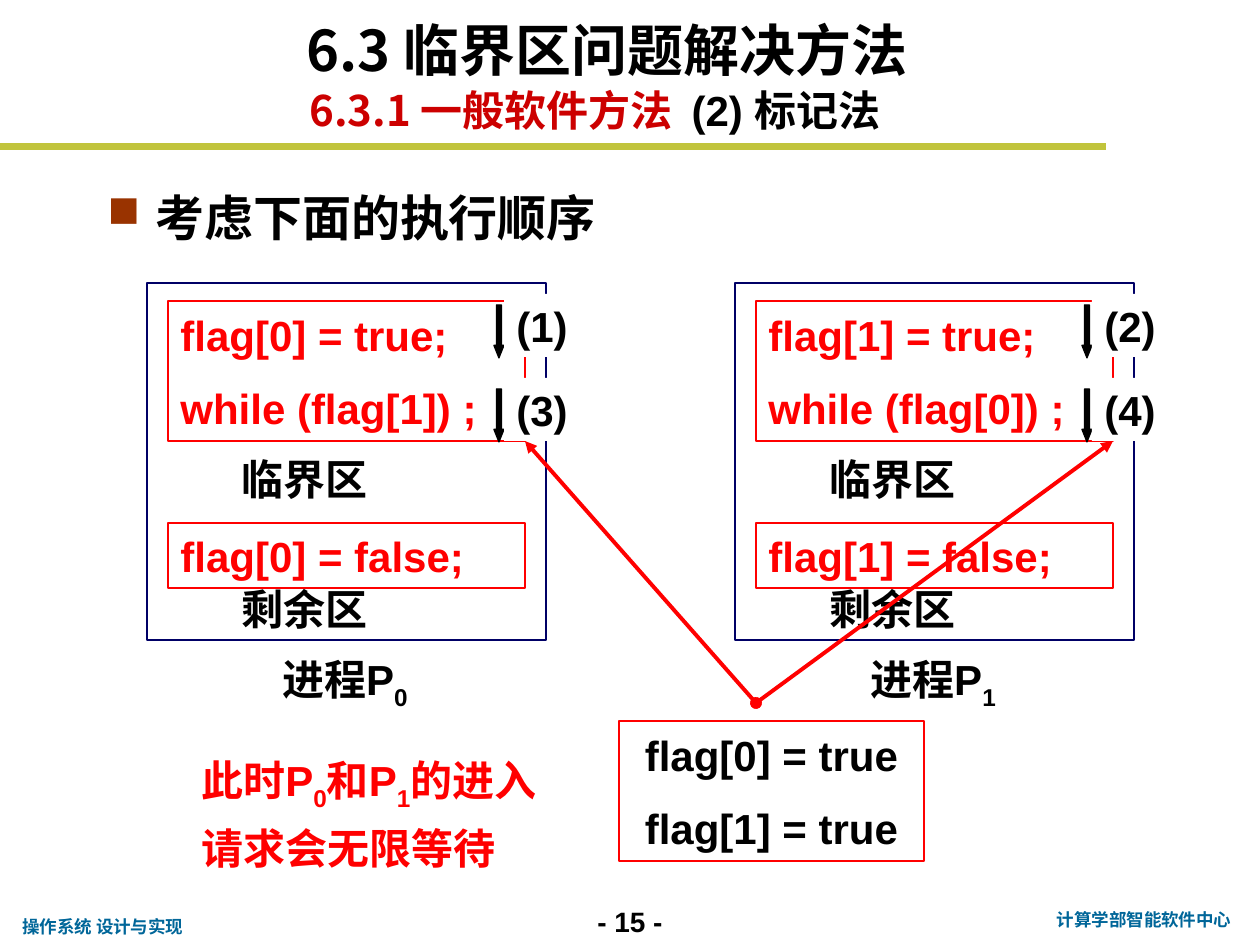
from lxml.etree import SubElement
from pptx import Presentation
from pptx.dml.color import RGBColor
from pptx.enum.shapes import MSO_CONNECTOR as CONNECTOR, MSO_SHAPE as SHAPE
from pptx.enum.text import MSO_ANCHOR as ANCHOR, PP_ALIGN as ALIGN
from pptx.oxml.ns import qn
from pptx.util import Pt

PX = 914400 / 126
BLACK, RED, DARK_RED, WHITE = "000000", "FF0000", "CC0000", "FFFFFF"
NAVY, TEAL, OLIVE, BROWN = "000066", "006699", "C1C43C", "993300"
LATIN, CJK = "Arial", "Noto Sans CJK SC"

# Content: a run is a string, or (string, "sub") for a subscript
TITLE = "6.3 临界区问题解决方法"
SUBTITLE = [("6.3.1 一般软件方法  ", DARK_RED, CJK), ("(2) 标记法", BLACK, LATIN)]
BULLET = "考虑下面的执行顺序"
PROCESSES = [
    {"own": 0, "other": 1, "steps": ["(1)", "(3)"]},
    {"own": 1, "other": 0, "steps": ["(2)", "(4)"]},
]
STATE = [["flag[0] = true"], ["flag[1] = true"]]
NOTE = ["此时P", ("0", "sub"), "和P", ("1", "sub"), "的进入请求会无限等待"]
FOOTERS = [
    ("- 15 -", (567, 898, 126, 47), 16, BLACK, ALIGN.CENTER),
    ("计算学部智能软件中心", (1040, 903, 208, 34), 10, TEAL, ALIGN.CENTER),
    ("操作系统 设计与实现", (10, 910, 189, 34), 10, TEAL, ALIGN.LEFT),
]

# Layout in px
PROCESS_LEFT, PROCESS_TOP, PROCESS_STEP = 147, 283, 588
STEP_TOP, STEP_GAP = 294, 84
JOINT = (756, 703)


def emu(*lengths):
    return [round(length * PX) for length in lengths]


def color(value):
    return RGBColor.from_string(value)


def style(font, size, value, name=LATIN):
    font.size, font.bold, font.name = Pt(size), True, name
    font.color.rgb = color(value)


def write(shape, paragraphs, size=24, value=BLACK, align=ALIGN.LEFT,
          anchor=ANCHOR.MIDDLE):
    frame = shape.text_frame
    frame.word_wrap, frame.vertical_anchor = True, anchor
    for index, runs in enumerate(paragraphs):
        paragraph = frame.add_paragraph() if index else frame.paragraphs[0]
        paragraph.alignment = align
        if index:
            paragraph.space_before = Pt(13)
        for item in runs:
            run = paragraph.add_run()
            run.text = item if isinstance(item, str) else item[0]
            if not isinstance(item, str):
                run._r.get_or_add_rPr().set("baseline", "-25000")
        style(paragraph.font, size, value)
    return frame


def add_text(slide, box, paragraphs, **options):
    return write(slide.shapes.add_textbox(*emu(*box)), paragraphs, **options)


def add_box(slide, box, line=None, fill=None, kind=SHAPE.RECTANGLE):
    shape = slide.shapes.add_shape(kind, *emu(*box))
    shape.shadow.inherit = False
    for part, value in ((shape.fill, fill), (shape.line.fill, line)):
        if value:
            part.solid()
            part.fore_color.rgb = color(value)
        else:
            part.background()
    if line:
        shape.line.width = Pt(0.75)
    return shape


def add_line(slide, start, end, value, width, arrow=False):
    line = slide.shapes.add_connector(CONNECTOR.STRAIGHT, *emu(*start, *end))
    line.line.color.rgb, line.line.width = color(value), Pt(width)
    if arrow:
        outline = line.line._get_or_add_ln()
        SubElement(outline, qn("a:headEnd"), type="oval")
        SubElement(outline, qn("a:tailEnd"), type="triangle")
    SubElement(line._element.spPr, qn("a:effectLst"))


def add_process(slide, left, own, other):
    add_box(slide, (left, PROCESS_TOP, 399, 357), NAVY)
    entry = [[f"flag[{own}] = true;"], [f"while (flag[{other}]) ;"]]
    leave = [[f"flag[{own}] = false;"]]
    for top, height, code in ((301, 140, entry), (523, 65, leave)):
        box = add_box(slide, (left + 21, top, 357, height), RED)
        write(box, code, value=RED)
    for top, label in ((447, "临界区"), (577, "剩余区")):
        add_text(slide, (left + 42, top, 231, 63), [[label]], align=ALIGN.CENTER)
    add_text(slide, (left + 56, 651, 284, 63), [["进程P", (str(own), "sub")]],
             align=ALIGN.CENTER)


def add_step(slide, left, top, label):
    arrow = add_box(slide, (left, top + 11, 10, 53), BLACK, BLACK, SHAPE.DOWN_ARROW)
    arrow.adjustments[0], arrow.adjustments[1] = 0.5, 1.25
    write(add_box(slide, (left + 10, top, 105, 63), fill=WHITE), [[label]])


def add_bullet(slide):
    frame = add_text(slide, (95, 164, 1091, 120), [[BULLET]], size=28,
                     anchor=ANCHOR.TOP)
    paragraph = frame.paragraphs[0]
    paragraph.line_spacing = 1.3
    properties = paragraph._p.get_or_add_pPr()
    indent = emu(48)[0]
    properties.set("marL", str(indent))
    properties.set("indent", str(-indent))
    bullet_color = properties.makeelement(qn("a:buClr"))
    SubElement(bullet_color, qn("a:srgbClr"), val=BROWN)
    bullet_size = properties.makeelement(qn("a:buSzPct"), val="90000")
    bullet = properties.makeelement(qn("a:buChar"), char="■")
    defaults = properties.find(qn("a:defRPr"))
    for element in (bullet_color, bullet_size, bullet):
        defaults.addprevious(element)


def main():
    presentation = Presentation()
    presentation.slide_width, presentation.slide_height = emu(1260, 945)
    slide = presentation.slides.add_slide(presentation.slide_layouts[5])

    # Title and subtitle
    title = slide.shapes.title
    title.left, title.top, title.width, title.height = emu(294, 10, 693, 79)
    frame = write(title, [[TITLE]], size=32, anchor=ANCHOR.BOTTOM)
    frame.paragraphs[0].font.name = CJK
    frame = add_text(slide, (297, 83, 847, 53), [[run[0] for run in SUBTITLE]])
    for run, (_, value, name) in zip(frame.paragraphs[0].runs, SUBTITLE):
        style(run.font, 24, value, name)

    # Rule and footers
    add_line(slide, (0, 147), (1106, 147), OLIVE, 4)
    for text, box, size, value, align in FOOTERS:
        frame = add_text(slide, box, [[text]], size=size, value=value, align=align)
        frame.word_wrap = align == ALIGN.CENTER

    # Processes with their numbered steps
    add_bullet(slide)
    for index, process in enumerate(PROCESSES):
        left = PROCESS_LEFT + index * PROCESS_STEP
        add_process(slide, left, process["own"], process["other"])
        for row, label in enumerate(process["steps"]):
            add_step(slide, left + 347, STEP_TOP + row * STEP_GAP, label)

    # Shared state, with an arrow to each entry section
    write(add_box(slide, (619, 721, 305, 140), RED), STATE, align=ALIGN.CENTER)
    for index in range(len(PROCESSES)):
        corner = (PROCESS_LEFT + index * PROCESS_STEP + 378, 441)
        add_line(slide, JOINT, corner, RED, 2.25, arrow=True)

    # Conclusion
    frame = add_text(slide, (126, 737, 441, 134), [NOTE], value=RED, anchor=ANCHOR.TOP)
    paragraph = frame.paragraphs[0]
    paragraph.line_spacing = 1.2
    paragraph._p.get_or_add_pPr().set("marL", str(emu(63)[0]))

    presentation.save("out.pptx")


if __name__ == "__main__":
    main()
